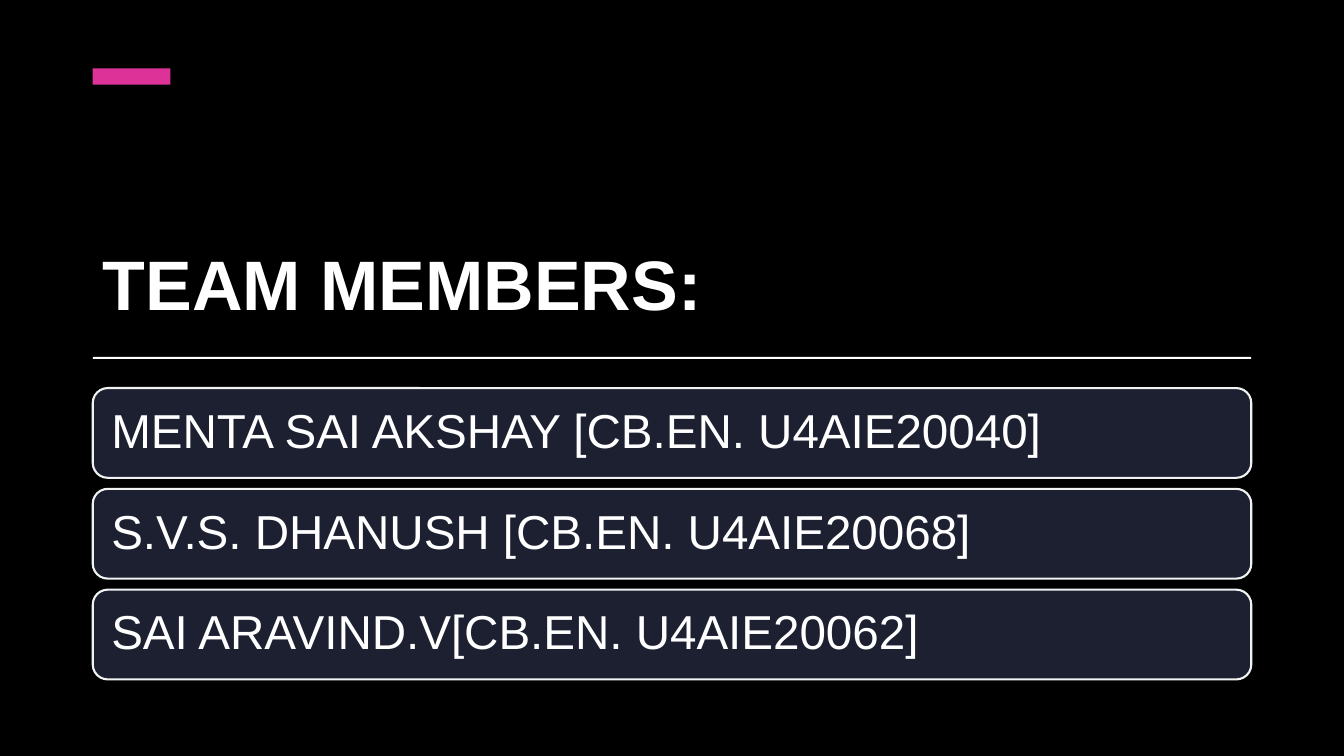
from pptx import Presentation
from pptx.dml.color import RGBColor
from pptx.enum.shapes import MSO_SHAPE
from pptx.enum.text import MSO_ANCHOR, PP_ALIGN
from pptx.util import Inches, Pt

TITLE = "TEAM MEMBERS:"
MEMBERS = [
    "MENTA SAI AKSHAY [CB.EN. U4AIE20040]",
    "S.V.S. DHANUSH [CB.EN. U4AIE20068]",
    "SAI ARAVIND.V[CB.EN. U4AIE20062]",
]

BLACK = RGBColor(0x00, 0x00, 0x00)
WHITE = RGBColor(0xFF, 0xFF, 0xFF)
PINK = RGBColor(0xDD, 0x33, 0x98)
NAVY = RGBColor(0x1C, 0x20, 0x31)
PALE = RGBColor(0xF0, 0xF3, 0xF1)
RECTANGLE = MSO_SHAPE.RECTANGLE
ROUNDED = MSO_SHAPE.ROUNDED_RECTANGLE
MIDDLE = MSO_ANCHOR.MIDDLE
BOTTOM = MSO_ANCHOR.BOTTOM
LEFT_ALIGNED = PP_ALIGN.LEFT

SLIDE_WIDTH, SLIDE_HEIGHT = 13.33, 7.5
MARGIN = 0.92
CONTENT_WIDTH = SLIDE_WIDTH - 2 * MARGIN
CARD_TOP, CARD_HEIGHT, CARD_PITCH = 3.85, 0.89, 1.0
CARD_INSET = 0.14


def add_block(slide, kind, top, width, height, fill, outline=None):
    shape = slide.shapes.add_shape(
        kind, Inches(MARGIN), Inches(top), Inches(width), Inches(height))
    shape.shadow.inherit = False
    shape.fill.solid()
    shape.fill.fore_color.rgb = fill
    if outline is None:
        shape.line.fill.background()
    else:
        shape.line.color.rgb = outline
        shape.line.width = Pt(1.5)
    return shape


def write_text(shape, text, size, anchor, bold=False):
    frame = shape.text_frame
    frame.text = text
    frame.word_wrap = True
    frame.vertical_anchor = anchor
    paragraph = frame.paragraphs[0]
    paragraph.alignment = LEFT_ALIGNED
    paragraph.line_spacing = 0.9
    font = paragraph.runs[0].font
    font.name = "Arial"
    font.size = Pt(size)
    font.bold = bold
    font.color.rgb = WHITE


def main():
    presentation = Presentation()
    presentation.slide_width = Inches(SLIDE_WIDTH)
    presentation.slide_height = Inches(SLIDE_HEIGHT)
    slide = presentation.slides.add_slide(presentation.slide_layouts[6])
    slide.background.fill.solid()
    slide.background.fill.fore_color.rgb = BLACK

    title = slide.shapes.add_textbox(
        Inches(MARGIN), Inches(1.03), Inches(CONTENT_WIDTH), Inches(2.25))
    write_text(title, TITLE, 50, BOTTOM, bold=True)
    title.text_frame.paragraphs[0].space_after = Pt(6)

    add_block(slide, RECTANGLE, 0.68, 0.77, 0.16, PINK)
    add_block(slide, RECTANGLE, 3.54, CONTENT_WIDTH, 0.02, WHITE)

    for row, member in enumerate(MEMBERS):
        card = add_block(slide, ROUNDED, CARD_TOP + row * CARD_PITCH,
                         CONTENT_WIDTH, CARD_HEIGHT, NAVY, PALE)
        write_text(card, member, 34, MIDDLE)
        frame = card.text_frame
        frame.margin_left = frame.margin_right = Inches(CARD_INSET)
        frame.margin_top = frame.margin_bottom = Inches(CARD_INSET)

    presentation.save("out.pptx")


if __name__ == "__main__":
    main()
